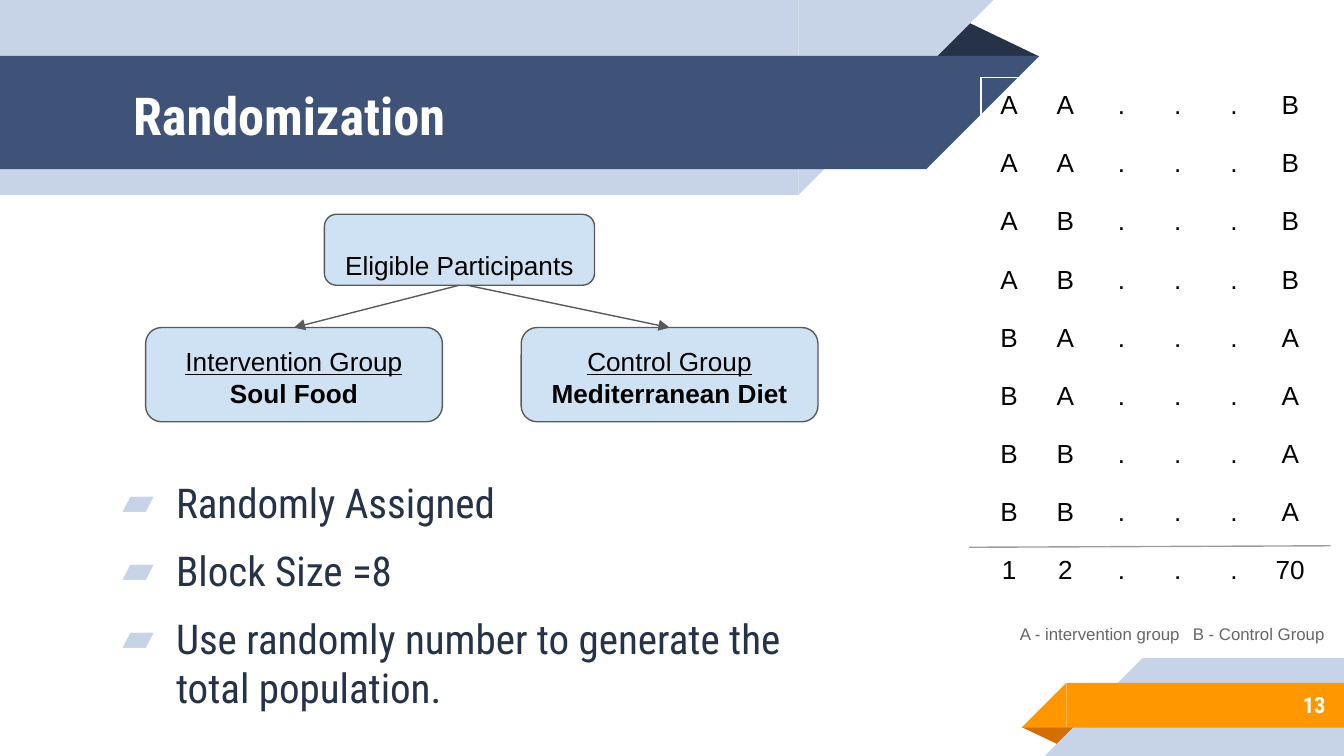
from lxml.etree import SubElement
from pptx import Presentation
from pptx.dml.color import RGBColor
from pptx.enum.shapes import MSO_CONNECTOR, MSO_SHAPE
from pptx.enum.text import MSO_ANCHOR, MSO_AUTO_SIZE, PP_ALIGN
from pptx.oxml.ns import qn
from pptx.util import Pt

HEADING_FONT = "Roboto Condensed"
BODY_FONT = "Arial"
NAVY, DARK, PALE = "3F5378", "263248", "C7D3E6"
ORANGE, RUST, SKY = "FF9800", "D26F00", "CFE2F3"
GREY, BLACK, WHITE = "595959", "000000", "FFFFFF"


def colour(value):
    """Turn a hex string into a colour."""
    return RGBColor.from_string(value)


def place(shape, left, top, width, height):
    """Move and size a shape in points."""
    shape.left, shape.top = Pt(left), Pt(top)
    shape.width, shape.height = Pt(width), Pt(height)


def add_span(para, text, size, font, color, bold=False, underline=False):
    """Add one formatted run to a paragraph."""
    span = para.add_run()
    span.text = text
    span.font.size = Pt(size)
    span.font.name = font
    span.font.bold = bold
    span.font.underline = underline
    span.font.color.rgb = colour(color)


def set_frame(frame, anchor=MSO_ANCHOR.TOP):
    """Give a text frame even insets, wrapping and an anchor."""
    frame.word_wrap = True
    frame.auto_size = MSO_AUTO_SIZE.NONE
    frame.vertical_anchor = anchor
    frame.margin_left = frame.margin_right = Pt(7.2)
    frame.margin_top = frame.margin_bottom = Pt(7.2)


def add_piece(page, kind, bounds, fill, mirrored=False, rotation=0):
    """Add one flat piece of a ribbon."""
    piece = page.shapes.add_shape(kind, *map(Pt, bounds))
    piece.shadow.inherit = False
    piece.fill.solid()
    piece.fill.fore_color.rgb = colour(fill)
    piece.line.fill.background()
    piece.rotation = rotation
    if mirrored:
        piece._element.spPr.xfrm.set("flipH", "1")
    return piece


def add_top_band(page, top, width, height, fill):
    """Add a band from the left edge that ends in a slanted tip."""
    add_piece(page, MSO_SHAPE.RECTANGLE, (0, top, width, height), fill)
    add_piece(page, MSO_SHAPE.RIGHT_TRIANGLE, (width, top, height, height), fill, True, 180)


def add_bottom_band(page, left, top, height, fill):
    """Add a band to the right edge that starts with a slanted tip."""
    start = left + height
    add_piece(page, MSO_SHAPE.RECTANGLE, (start, top, 720 - start, height), fill)
    add_piece(page, MSO_SHAPE.RIGHT_TRIANGLE, (left, top, height, height), fill, True)


def add_ribbons(page):
    """Draw the folded ribbons at the top and bottom."""
    fold = add_piece(page, MSO_SHAPE.ISOSCELES_TRIANGLE, (547.2, 389.5, 31, 10), RUST, rotation=180)
    fold.adjustments[0] = 0.32
    add_bottom_band(page, 559.7, 352.4, 52.6, PALE)
    add_bottom_band(page, 547.2, 365.8, 24, ORANGE)
    fold = add_piece(page, MSO_SHAPE.ISOSCELES_TRIANGLE, (495.4, 10.2, 61.2, 20), DARK)
    fold.adjustments[0] = 0.32
    add_top_band(page, 0, 427.7, 104.4, PALE)
    add_top_band(page, 30, 496.2, 60.6, NAVY)


def fill_title(page):
    """Place and write the title."""
    title = page.shapes.title
    page.shapes._spTree.append(title._element)
    place(title, 64.1, 31, 432.7, 60.5)
    set_frame(title.text_frame, MSO_ANCHOR.MIDDLE)
    para = title.text_frame.paragraphs[0]
    para.alignment = PP_ALIGN.LEFT
    add_span(para, "Randomization", 28, HEADING_FONT, WHITE, bold=True)


def add_box(page, bounds):
    """Add a rounded box of the diagram."""
    box = page.shapes.add_shape(MSO_SHAPE.ROUNDED_RECTANGLE, *map(Pt, bounds))
    box.shadow.inherit = False
    box.adjustments[0] = 0.17
    box.fill.solid()
    box.fill.fore_color.rgb = colour(SKY)
    box.line.color.rgb = colour(GREY)
    box.line.width = Pt(0.75)
    return box


def add_group_box(page, left, group, diet):
    """Add a box that names a group and its diet."""
    box = add_box(page, (left, 175.5, 159, 50.5))
    set_frame(box.text_frame)
    heading = box.text_frame.paragraphs[0]
    heading.alignment = PP_ALIGN.CENTER
    add_span(heading, group, 14, BODY_FONT, BLACK, underline=True)
    para = box.text_frame.add_paragraph()
    para.alignment = PP_ALIGN.CENTER
    add_span(para, diet, 14, BODY_FONT, BLACK, bold=True)
    return box


def add_line(page, start, end, color):
    """Add a thin straight line."""
    line = page.shapes.add_connector(MSO_CONNECTOR.STRAIGHT, *map(Pt, start + end))
    line.line.color.rgb = colour(color)
    line.line.width = Pt(0.75)
    SubElement(line._element.spPr, qn("a:effectLst"))
    return line


def add_arrow(page, start, target):
    """Add an arrow to the top of a box."""
    arrow = add_line(page, start, start, GREY)
    arrow.end_connect(target, 0)
    SubElement(arrow.line._get_or_add_ln(), qn("a:tailEnd"), type="triangle")
    return arrow


def add_diagram(page):
    """Draw the split of participants into two groups."""
    source = add_box(page, (173.8, 114.8, 144.7, 38))
    set_frame(source.text_frame, MSO_ANCHOR.MIDDLE)
    para = source.text_frame.paragraphs[0]
    para.alignment = PP_ALIGN.CENTER
    para.line_spacing = 2.0
    para.space_before = para.space_after = Pt(12)
    add_span(para, "Eligible Participants", 14, BODY_FONT, BLACK)
    intervention = add_group_box(page, 78, "Intervention Group", "Soul Food")
    control = add_group_box(page, 279.2, "Control Group", "Mediterranean Diet")
    add_arrow(page, (250.2, 152.8), control)
    add_arrow(page, (246.2, 152.8), intervention).begin_connect(source, 2)


def fill_list(page):
    """Place and write the bulleted list."""
    body = page.placeholders[1]
    page.shapes._spTree.append(body._element)
    place(body, 51.1, 248.4, 389.5, 141)
    frame = body.text_frame
    set_frame(frame)
    items = ["Randomly Assigned", "Block Size =8",
             "Use randomly number to generate the total population."]
    for index, item in enumerate(items):
        para = frame.add_paragraph() if index else frame.paragraphs[0]
        para.space_before = Pt(10 if index else 0)
        para.space_after = Pt(10 if item == items[-1] else 0)
        properties = para._p.get_or_add_pPr()
        properties.set("marL", str(Pt(36)))
        properties.set("indent", str(Pt(-28.8)))
        bullet_color = SubElement(properties, qn("a:buClr"))
        SubElement(bullet_color, qn("a:srgbClr"), val=PALE)
        SubElement(properties, qn("a:buChar"), char="▰")
        add_span(para, item, 22, HEADING_FONT, DARK)


def set_borders(cell, color):
    """Give a cell thin borders on all sides."""
    properties = cell._tc.get_or_add_tcPr()
    for side in ("a:lnL", "a:lnR", "a:lnT", "a:lnB"):
        border = SubElement(properties, qn(side), w=str(Pt(0.75)))
        fill = SubElement(border, qn("a:solidFill"))
        SubElement(fill, qn("a:srgbClr"), val=color)


def add_blocks_table(page):
    """Add the table of assignments, one block per column."""
    blocks = ["AAAABBBB1", "AABBAABB2", *["." * 9] * 3, [*"BBBBAAAA", "70"]]
    rows = list(zip(*blocks))
    table = page.shapes.add_table(len(rows), len(blocks), Pt(525.5), Pt(41.6),
                                  Pt(180.9), Pt(280.1)).table
    table.first_row = table.horz_banding = False
    for column in table.columns:
        column.width = Pt(30.15)
    for row, values in zip(table.rows, rows):
        row.height = Pt(31.12)
        for cell, value in zip(row.cells, values):
            cell.margin_left = cell.margin_right = Pt(7.2)
            cell.margin_top = cell.margin_bottom = Pt(7.2)
            set_borders(cell, WHITE)
            cell.fill.background()
            para = cell.text_frame.paragraphs[0]
            para.alignment = PP_ALIGN.CENTER
            add_span(para, value, 14, BODY_FONT, BLACK)


def add_text(page, bounds, anchor=MSO_ANCHOR.TOP):
    """Add an empty text box and return it."""
    box = page.shapes.add_textbox(*map(Pt, bounds))
    set_frame(box.text_frame, anchor)
    return box


def add_legend(page):
    """Add the key to the letters, spaced by a tab stop."""
    box = add_text(page, (539.3, 326.9, 180.7, 25.2))
    box.line.color.rgb = colour(WHITE)
    box.line.width = Pt(0.75)
    para = box.text_frame.paragraphs[0]
    stops = SubElement(para._p.get_or_add_pPr(), qn("a:tabLst"))
    SubElement(stops, qn("a:tab"), pos=str(Pt(92.6)), algn="l")
    add_span(para, "A - intervention group\tB - Control Group", 9, BODY_FONT, "666666")


def main():
    """Build the slide and save the deck."""
    deck = Presentation()
    deck.slide_width, deck.slide_height = Pt(720), Pt(405)
    page = deck.slides.add_slide(deck.slide_layouts[1])
    add_ribbons(page)
    fill_title(page)
    number = add_text(page, (599.8, 365, 117.4, 25.2), MSO_ANCHOR.MIDDLE)
    para = number.text_frame.paragraphs[0]
    para.alignment = PP_ALIGN.RIGHT
    add_span(para, "13", 12, HEADING_FONT, WHITE, bold=True)
    add_diagram(page)
    fill_list(page)
    add_blocks_table(page)
    add_line(page, (519.1, 293.2), (712.8, 292.4), "9E9E9E")
    add_legend(page)
    deck.save("out.pptx")


if __name__ == "__main__":
    main()
